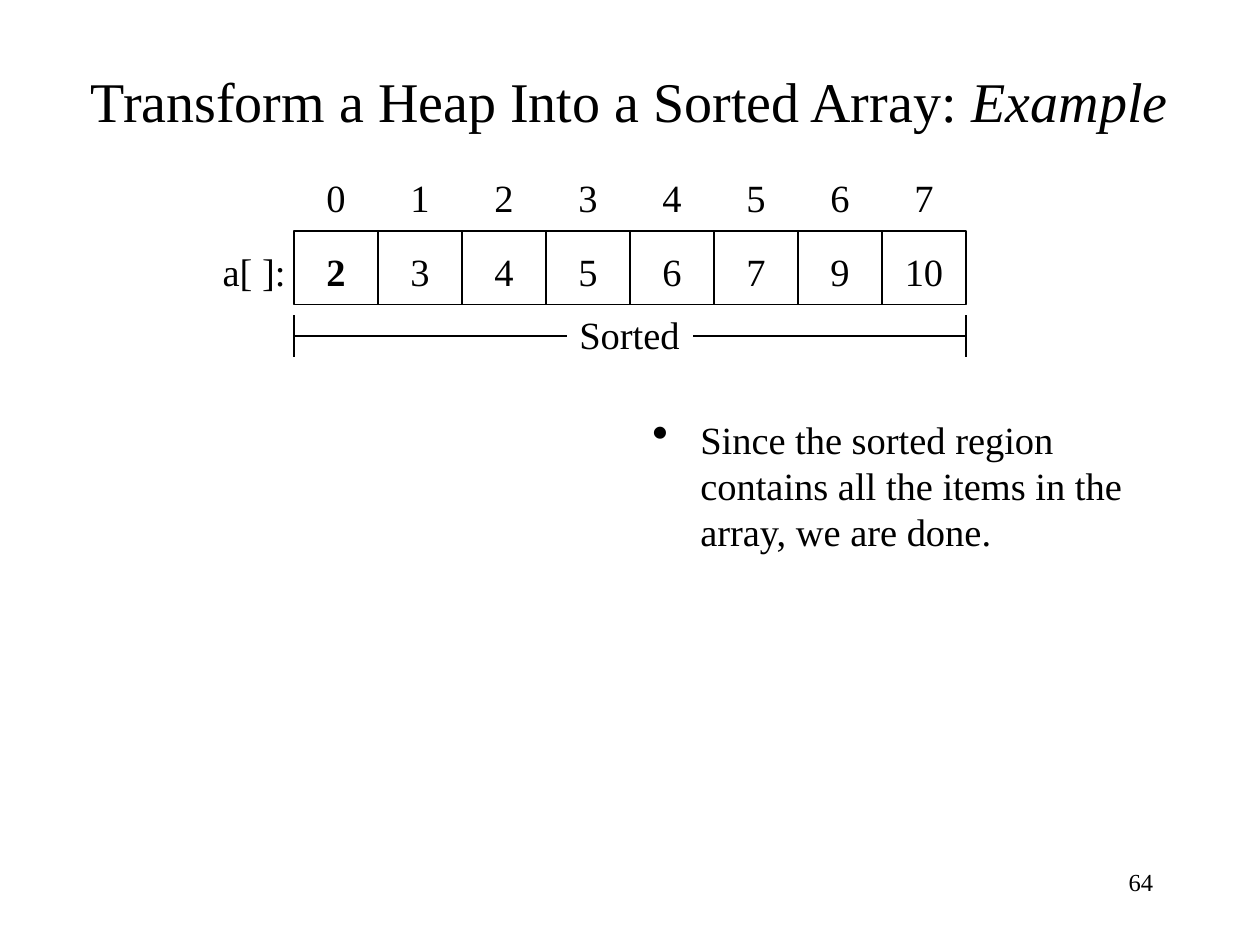
"""Build the slide showing a heap fully transformed into a sorted array."""
import lxml.etree
import pptx
import pptx.dml.color
import pptx.enum.shapes
import pptx.enum.text
import pptx.oxml.ns
import pptx.util

FONT, INK, PAPER = "Times New Roman", "000000", "FFFFFF"
TITLE = [("Transform a Heap Into a Sorted Array: ", {}), ("Example", {"italic": True})]
VALUES = [2, 3, 4, 5, 6, 7, 9, 10]
HEAD_INDEX = 0
ARRAY_NAME, REGION = "a[ ]:", "Sorted"
NOTE = "Since the sorted region contains all the items in the array, we are done."
PAGE_NUMBER = "64"

WIDTH, HEIGHT = 10, 7.5
COLUMN, ROW = WIDTH / 15, HEIGHT / 45
ARRAY_LEFT = 3.5 * COLUMN
ARRAY_RIGHT = ARRAY_LEFT + len(VALUES) * COLUMN
ARRAY_TOP, ARRAY_HEIGHT = 11 * ROW, 3.5 * ROW
INDEX_TOP, VALUE_TOP, REGION_TOP = 8 * ROW, 11.5 * ROW, 14.5 * ROW
LABEL_HEIGHT = 0.47
SPAN_TOP, SPAN_MIDDLE, SPAN_BOTTOM = 15 * ROW, 16 * ROW, 17 * ROW
GAP_LEFT, GAP_RIGHT = 4.5, 5.5

ALIGN = pptx.enum.text.PP_ALIGN
ANCHOR = pptx.enum.text.MSO_ANCHOR


def color(value):
    return pptx.dml.color.RGBColor.from_string(value)


def inches(*lengths):
    return [pptx.util.Inches(length) for length in lengths]


def add_text(page, place, spans, size=22, align=ALIGN.CENTER, anchor=ANCHOR.MIDDLE, wrap=False):
    box = page.shapes.add_textbox(*inches(*place))
    frame = box.text_frame
    frame.word_wrap = wrap
    frame.vertical_anchor = anchor
    para = frame.paragraphs[0]
    para.alignment = align
    para.font.name, para.font.size = FONT, pptx.util.Pt(size)
    para.font.color.rgb = color(INK)
    for text, style in spans:
        span = para.add_run()
        span.text = text
        span.font.name, span.font.size = FONT, pptx.util.Pt(size)
        span.font.color.rgb = color(INK)
        for name, value in style.items():
            setattr(span.font, name, value)
    return para


def add_cell(page, left):
    cell = page.shapes.add_shape(
        pptx.enum.shapes.MSO_SHAPE.RECTANGLE, *inches(left, ARRAY_TOP, COLUMN, ARRAY_HEIGHT))
    cell.shadow.inherit = False
    cell.fill.background()
    cell.line.color.rgb = color(INK)
    cell.line.width = pptx.util.Pt(0.75)


def add_line(page, *ends):
    line = page.shapes.add_connector(pptx.enum.shapes.MSO_CONNECTOR.STRAIGHT, *inches(*ends))
    line.line.color.rgb = color(INK)
    line.line.width = pptx.util.Pt(0.75)
    lxml.etree.SubElement(line._element.spPr, pptx.oxml.ns.qn("a:effectLst"))


def add_bullet(para, indent):
    properties = para._p.get_or_add_pPr()
    properties.set("marL", str(pptx.util.Inches(indent)))
    properties.set("indent", str(pptx.util.Inches(-indent)))
    for tag, name, value in [("a:buSzPct", "val", "120000"), ("a:buChar", "char", "•")]:
        mark = lxml.etree.Element(pptx.oxml.ns.qn(tag), {name: value})
        properties.insert_element_before(mark, "a:buChar", "a:tabLst", "a:defRPr", "a:extLst")


def add_array(page):
    for index, value in enumerate(VALUES):
        left = ARRAY_LEFT + index * COLUMN
        add_cell(page, left)
        add_text(page, (left, INDEX_TOP, COLUMN, LABEL_HEIGHT), [(str(index), {})], anchor=ANCHOR.TOP)
        style = {"bold": True} if index == HEAD_INDEX else {}
        add_text(page, (left, VALUE_TOP, COLUMN, LABEL_HEIGHT), [(str(value), style)])
    add_text(page, (2.5 * COLUMN, VALUE_TOP, 0.7, LABEL_HEIGHT), [(ARRAY_NAME, {})])


def add_region(page):
    for edge, gap in [(ARRAY_LEFT, GAP_LEFT), (ARRAY_RIGHT, GAP_RIGHT)]:
        add_line(page, edge, SPAN_TOP, edge, SPAN_BOTTOM)
        add_line(page, min(edge, gap), SPAN_MIDDLE, max(edge, gap), SPAN_MIDDLE)
    place = (GAP_LEFT, REGION_TOP, GAP_RIGHT - GAP_LEFT, LABEL_HEIGHT)
    add_text(page, place, [(REGION, {})], align=ALIGN.LEFT)


def main():
    deck = pptx.Presentation()
    deck.slide_width, deck.slide_height = inches(WIDTH, HEIGHT)
    page = deck.slides.add_slide(deck.slide_layouts[6])
    page.background.fill.solid()
    page.background.fill.fore_color.rgb = color(PAPER)
    add_text(page, (0.58, 3 * ROW, 8.83, 3.5 * ROW), TITLE, size=32, wrap=True)
    add_array(page)
    add_region(page)
    note = add_text(page, (5.08, 19.5 * ROW, 4.25, 8 * ROW), [(NOTE, {})],
                    align=ALIGN.LEFT, anchor=ANCHOR.TOP, wrap=True)
    note.space_before = pptx.util.Pt(5.5)
    add_bullet(note, 0.38)
    add_text(page, (7.17, 41 * ROW, 2.08, 3 * ROW), [(PAGE_NUMBER, {})],
             size=14, align=ALIGN.RIGHT, anchor=ANCHOR.TOP, wrap=True)
    deck.save("out.pptx")


if __name__ == "__main__":
    main()
